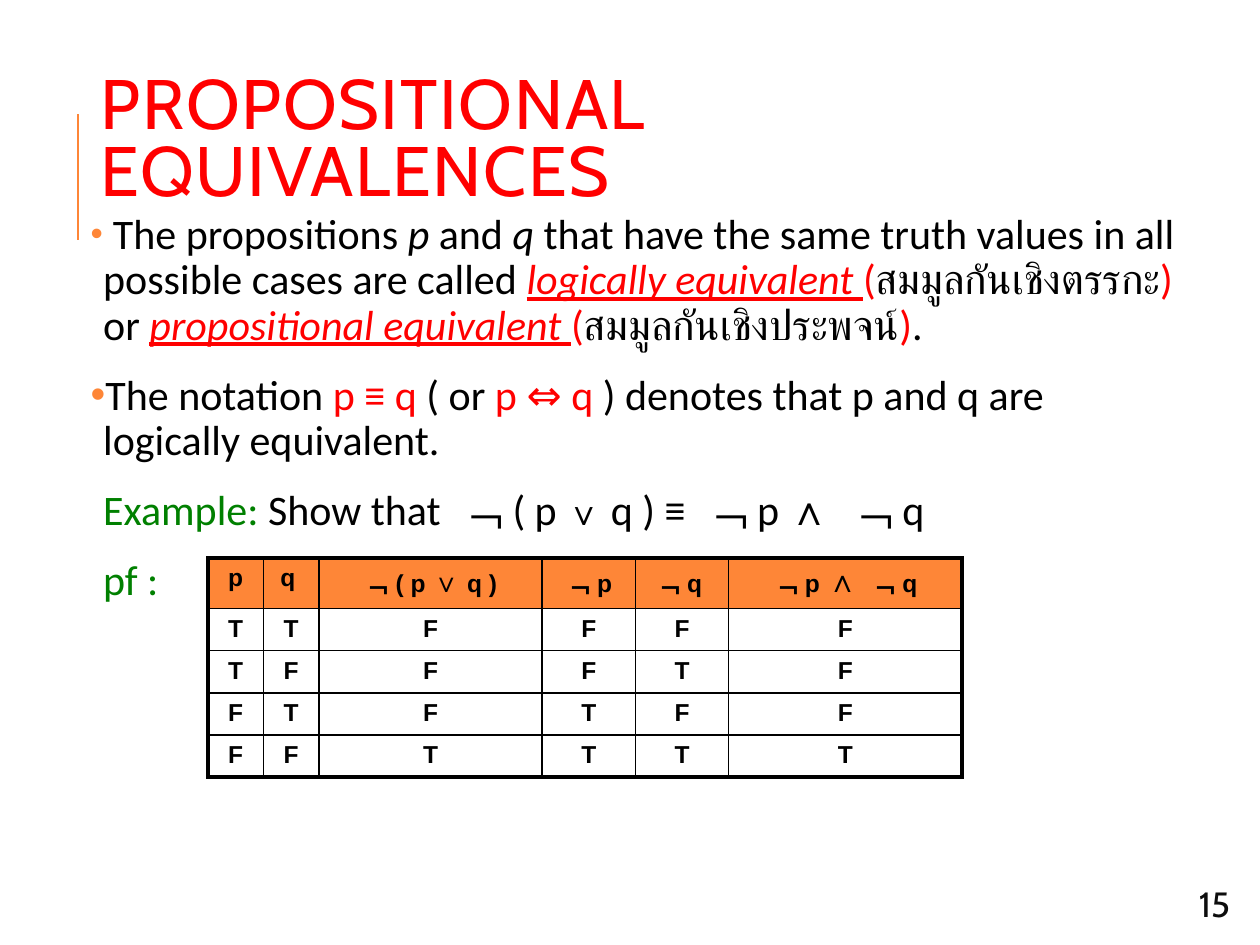
from lxml.etree import SubElement
from pptx import Presentation
from pptx.dml.color import RGBColor
from pptx.enum.shapes import MSO_CONNECTOR as Connector
from pptx.enum.text import MSO_ANCHOR as Anchor, PP_ALIGN as Align
from pptx.oxml.ns import qn
from pptx.util import Cm, Pt

ORANGE, RED, GREEN, BLACK, GREY = "FE8637", "FF0000", "008000", "000000", "4D5156"


def color(hex_text):
    return RGBColor.from_string(hex_text)


class SlideBuilder:
    """Holds the text style and the slide being filled."""

    font, size = "Calibri", 24
    table_font, table_size = "Arial", 14
    thin, thick = 1, 2.25

    def __init__(self, slide):
        self.slide = slide

    def run(self, paragraph, text, hex_text=BLACK, font=None, size=None,
            bold=False, italic=False, underline=False, spacing=0):
        run = paragraph.add_run()
        run.text = text
        run.font.name = font or self.font
        run.font.size = Pt(size or self.size)
        run.font.bold, run.font.italic, run.font.underline = bold, italic, underline
        run.font.color.rgb = color(hex_text)
        if spacing:
            run.font._element.set("spc", str(spacing * 100))

    def rule(self, x, top, bottom):
        line = self.slide.shapes.add_connector(
            Connector.STRAIGHT, Cm(x), Cm(bottom), Cm(x), Cm(top))
        line.line.color.rgb = color(ORANGE)
        line.line.width = Pt(1.5)
        SubElement(line._element.spPr, qn("a:effectLst"))

    def text_box(self, left, top, width, height, anchor=Anchor.TOP):
        box = self.slide.shapes.add_textbox(Cm(left), Cm(top), Cm(width), Cm(height))
        frame = box.text_frame
        frame.word_wrap = True
        frame.vertical_anchor = anchor
        return frame

    def label(self, place, text, hex_text, size, align=Align.LEFT, line_spacing=1.0, spacing=0):
        paragraph = self.text_box(*place, Anchor.MIDDLE).paragraphs[0]
        paragraph.alignment = align
        paragraph.line_spacing = line_spacing
        self.run(paragraph, text, hex_text, "Cabin", size, spacing=spacing)

    def body(self, place, paragraphs):
        """Each paragraph is (has bullet, list of (text, style) runs)."""
        frame = self.text_box(*place)
        frame.margin_left = frame.margin_right = Cm(0.13)
        frame.margin_top = frame.margin_bottom = Cm(0.13)
        for index, (has_bullet, runs) in enumerate(paragraphs):
            paragraph = frame.add_paragraph() if index else frame.paragraphs[0]
            paragraph.line_spacing = 0.9
            paragraph.space_before, paragraph.space_after = Pt(12), Pt(2)
            self.bullet(paragraph, has_bullet)
            for text, style in runs:
                self.run(paragraph, text, **style)

    def bullet(self, paragraph, visible):
        properties = paragraph._p.get_or_add_pPr()
        properties.set("marL", str(Cm(0.25)))
        properties.set("indent", str(-Cm(0.25) if visible else 0))
        if visible:
            bullet_color = SubElement(properties, qn("a:buClr"))
            SubElement(bullet_color, qn("a:srgbClr"), val=ORANGE)
            SubElement(properties, qn("a:buFont"), typeface="Arial")
            SubElement(properties, qn("a:buChar"), char="•")
        else:
            SubElement(properties, qn("a:buNone"))

    def truth_table(self, left, top, widths, heights, rows):
        frame = self.slide.shapes.add_table(
            len(rows), len(widths), Cm(left), Cm(top), Cm(sum(widths)), Cm(sum(heights)))
        table = frame.table
        table.first_row = table.horz_banding = False
        for column, width in zip(table.columns, widths):
            column.width = Cm(width)
        for row, height in zip(table.rows, heights):
            row.height = Cm(height)
        last_row, last_column = len(rows) - 1, len(widths) - 1
        for r, texts in enumerate(rows):
            for c, text in enumerate(texts):
                cell = table.cell(r, c)
                outer = {"L": c == 0, "R": c == last_column, "T": r == 0, "B": r == last_row}
                self.borders(cell, outer)
                if r == 0:
                    cell.fill.solid()
                    cell.fill.fore_color.rgb = color(ORANGE)
                else:
                    cell.fill.background()
                self.cell_text(cell, text)

    def borders(self, cell, outer):
        properties = cell._tc.get_or_add_tcPr()
        for side, is_outer in outer.items():
            width = Pt(self.thick if is_outer else self.thin)
            line = SubElement(properties, qn(f"a:ln{side}"), w=str(width))
            fill = SubElement(line, qn("a:solidFill"))
            SubElement(fill, qn("a:srgbClr"), val=BLACK)

    def cell_text(self, cell, text):
        """Write the text with its logical operators enlarged."""
        paragraph = cell.text_frame.paragraphs[0]
        paragraph.alignment = Align.CENTER
        operator_sizes = {"∨": 16, "∧": 18}
        operator = next((sign for sign in operator_sizes if sign in text), None)
        for part in text.partition(operator) if operator else [text]:
            size = operator_sizes.get(part, self.table_size)
            self.run(paragraph, part, font=self.table_font, size=size, bold=True)


def main():
    presentation = Presentation()
    presentation.slide_width, presentation.slide_height = Cm(25.4), Cm(19.05)
    builder = SlideBuilder(presentation.slides.add_slide(presentation.slide_layouts[6]))

    plain, red, green = {}, {"hex_text": RED}, {"hex_text": GREEN}
    italic = {"italic": True}
    term = {"hex_text": RED, "italic": True, "underline": True}
    builder.rule(1.57, 2.29, 4.83)
    builder.body((1.7, 4.17, 22.35, 14.15), [
        (True, [
            (" ", {"hex_text": GREY, "font": "Arial", "size": 20}),
            ("The propositions ", plain), ("p", italic), (" and ", plain), ("q ", italic),
            ("that have the same truth values in all possible cases are called ", plain),
            ("logically equivalent ", term), ("(", red),
            ("สมมูลกันเชิงตรรกะ", plain), (") ", red), ("or ", plain),
            ("propositional equivalent ", term), ("(", red),
            ("สมมูลกันเชิงประพจน์", plain), (")", red), (".", plain)]),
        (True, [
            ("The notation ", plain), ("p ≡ q ", red), ("( or ", plain), ("p ⇔ q ", red),
            (") denotes that p and q are logically equivalent.", plain)]),
        (False, [
            ("Example:", green), (" Show that ﹁( p ", plain),
            ("∨", {"font": "Arial", "size": 20}), (" q ) ≡ ﹁p ", plain),
            ("∧", {"font": "Arial"}), (" ﹁q", plain)]),
        (False, [("pf :", green)]),
    ])
    builder.truth_table(
        4.19, 11.25, [1.12, 1.12, 4.5, 1.88, 1.88, 4.7], [0.97] + [0.85] * 4,
        [["p", "q ", "﹁( p ∨ q )", "﹁p", "﹁q ", "﹁p ∧ ﹁q"],
         "TTFFFF", "TFFFTF", "FTFTFF", "FFTTTT"])
    builder.label((1.78, 1.73, 20.78, 2.31), "PROPOSITIONAL EQUIVALENCES", RED, 40,
                  line_spacing=0.8, spacing=1)
    builder.label((20.55, 17.83, 4.5, 0.76), "15", "0D0D0D", 20, Align.RIGHT)
    presentation.save("out.pptx")


if __name__ == "__main__":
    main()
